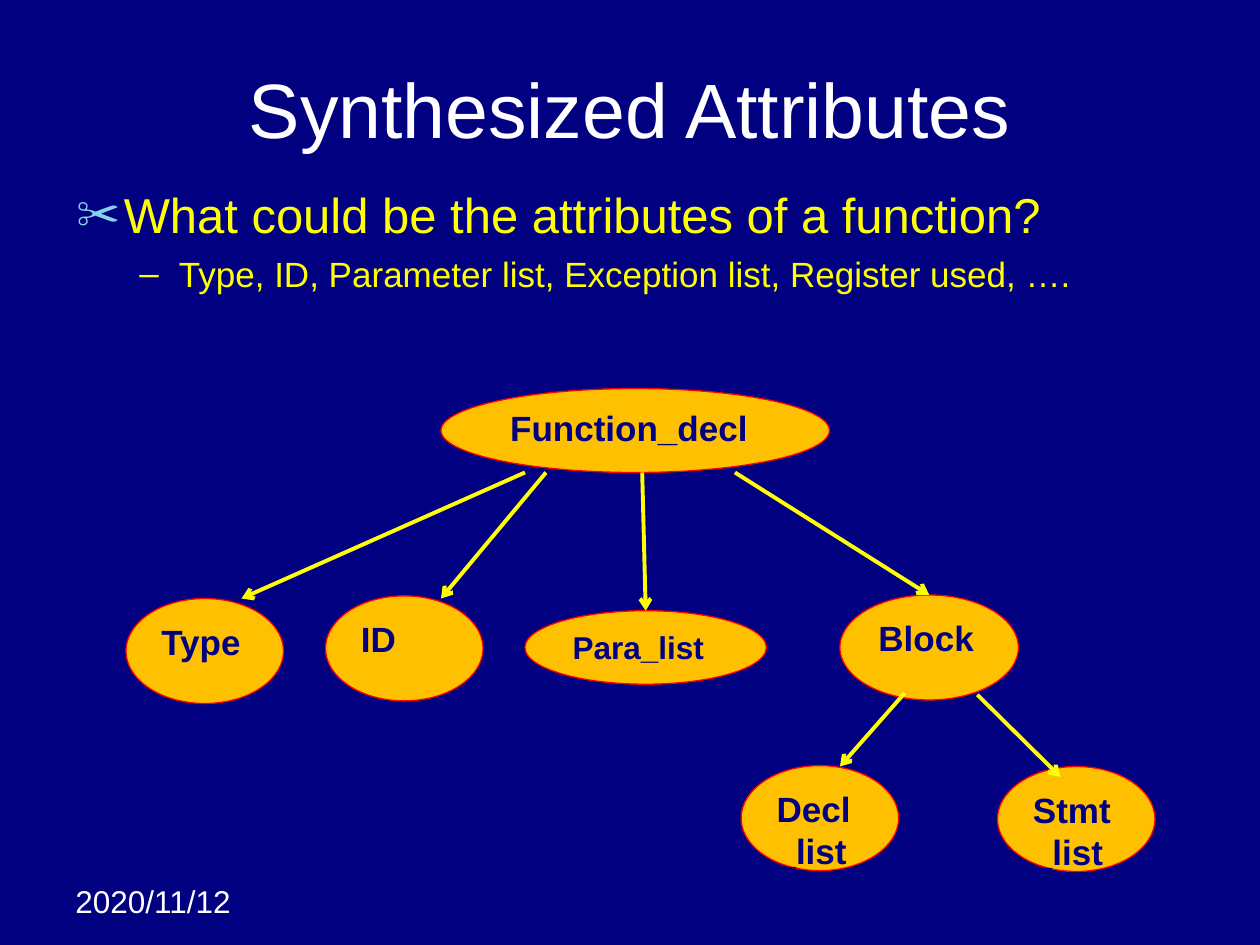
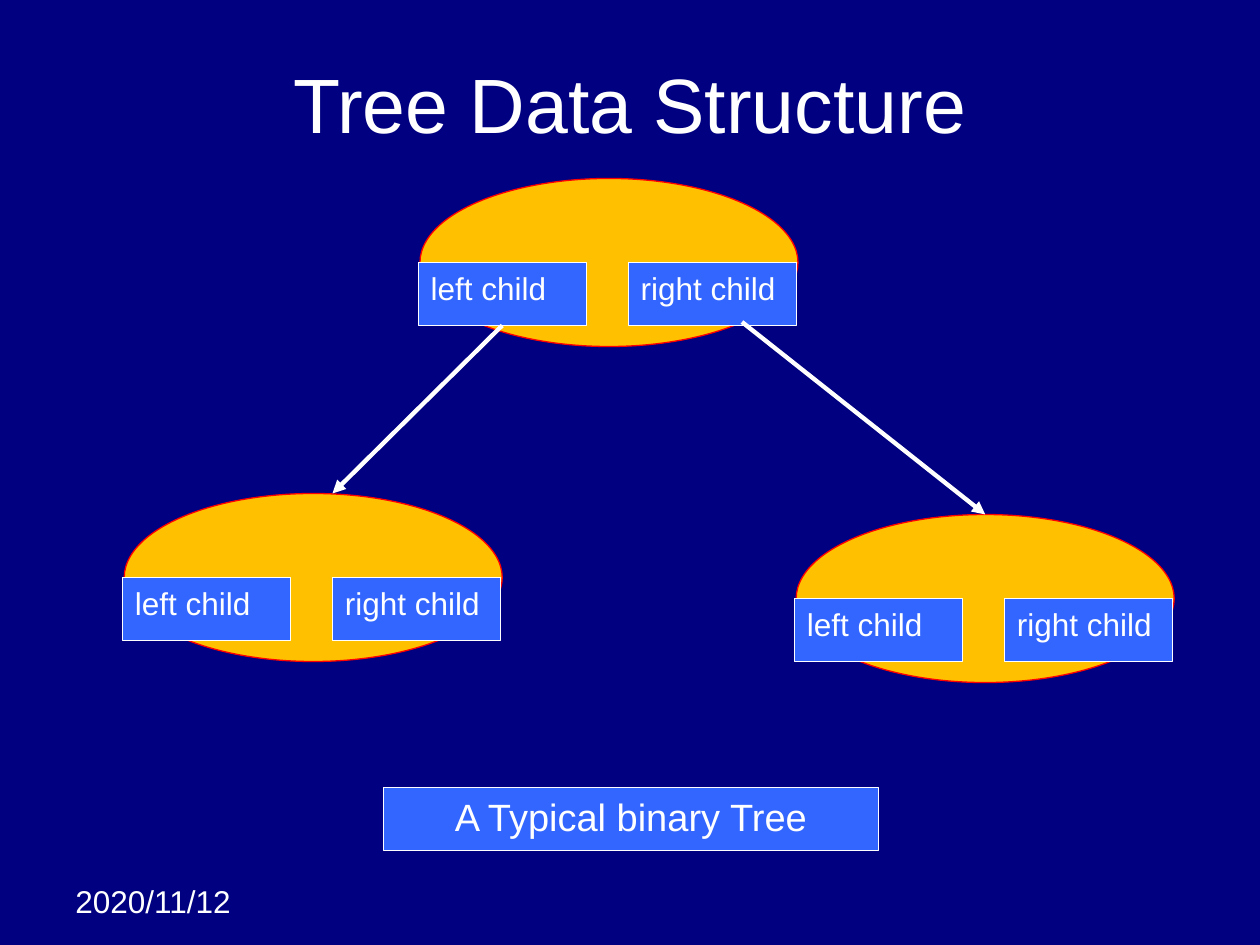
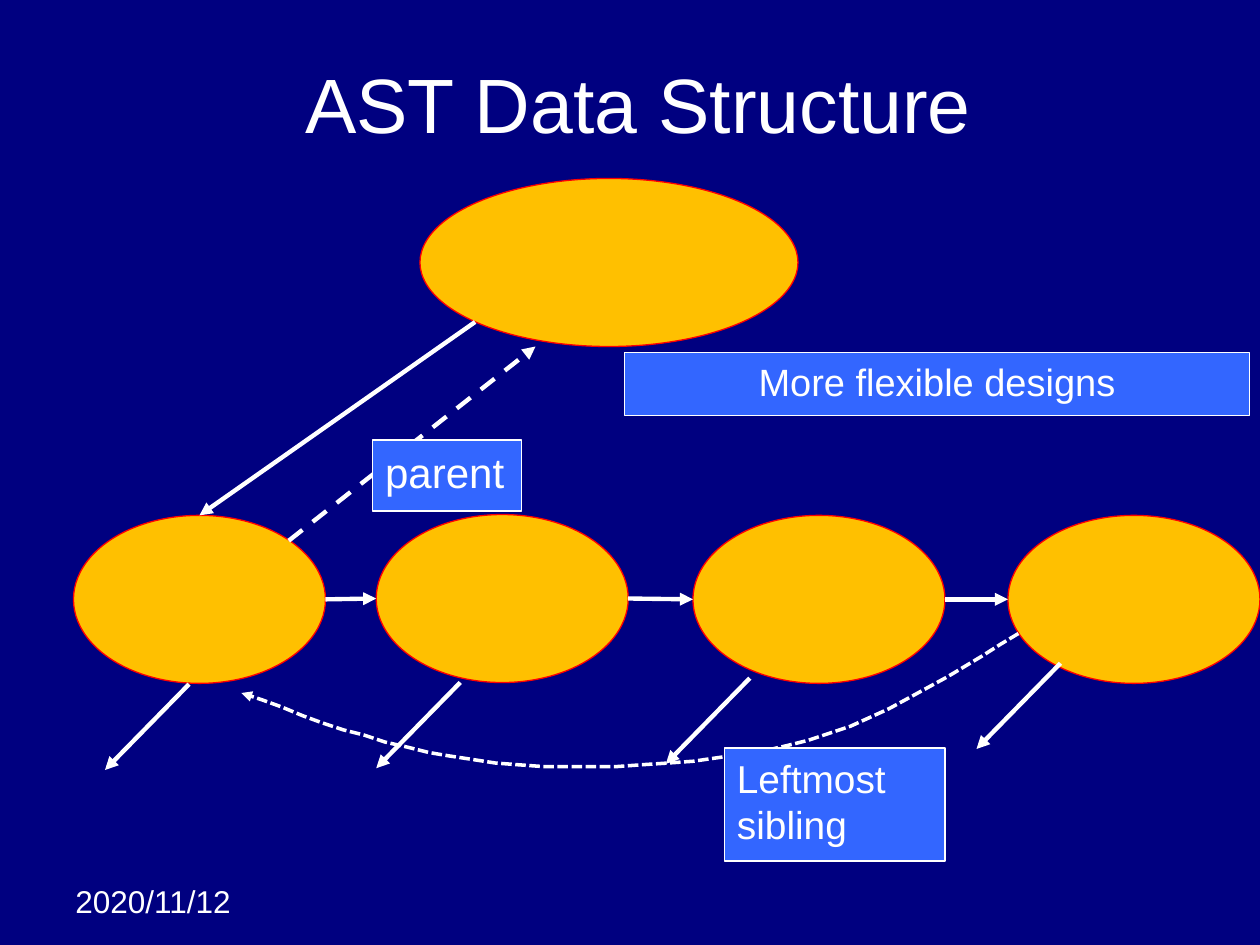
"""Build three slides on syntax-tree attributes and data structures."""
from lxml.etree import SubElement
from pptx import Presentation
from pptx.dml.color import RGBColor
from pptx.enum.dml import MSO_LINE
from pptx.enum.shapes import MSO_CONNECTOR, MSO_SHAPE
from pptx.enum.text import MSO_ANCHOR, MSO_AUTO_SIZE, PP_ALIGN
from pptx.oxml.ns import qn
from pptx.util import Pt

COLORS = {
    "navy": "000080",
    "white": "FFFFFF",
    "yellow": "FFFF00",
    "amber": "FFC000",
    "red": "FF0000",
    "blue": "3366FF",
    "sky": "86D1EC",
}
FONT = "Arial"
TITLE_ONLY, TITLE_AND_BODY = 5, 1
ROOT = (240, 102, 216, 96)


def rgb(name):
    """Return the named palette colour."""
    return RGBColor.from_string(COLORS[name])


def points(*values):
    """Convert numbers to lengths in points."""
    return [Pt(value) for value in values]


def move(shape, bounds):
    """Place a shape at left, top, width, height."""
    shape.left, shape.top, shape.width, shape.height = points(*bounds)


def write(frame, text, size=18, color="white", bold=False,
          align=PP_ALIGN.LEFT, anchor=MSO_ANCHOR.TOP, wrap=True):
    """Fill a text frame, one paragraph for each line of text."""
    frame.auto_size = MSO_AUTO_SIZE.NONE
    frame.word_wrap = wrap
    frame.vertical_anchor = anchor
    frame.text = text
    for paragraph in frame.paragraphs:
        paragraph.alignment = align
        paragraph.space_before = Pt(0)
        for span in paragraph.runs:
            span.font.name = FONT
            span.font.size = Pt(size)
            span.font.bold = bold
            span.font.color.rgb = rgb(color)


def add_page(deck, title, layout=TITLE_ONLY, title_height=74):
    """Add a slide with its title and date."""
    page = deck.slides.add_slide(deck.slide_layouts[layout])
    move(page.shapes.title, (36, 21.5, 648, title_height))
    write(page.shapes.title.text_frame, title, size=44,
          align=PP_ALIGN.CENTER, anchor=MSO_ANCHOR.MIDDLE)
    date = page.shapes.add_textbox(*points(36, 500.5, 114, 29))
    write(date.text_frame, "2020/11/12", wrap=False)
    return page


def set_bullet(paragraph, symbol, color, percent, margin, indent):
    """Give a paragraph a coloured bullet and a hanging indent."""
    properties = paragraph._p.get_or_add_pPr()
    properties.set("marL", str(Pt(margin)))
    properties.set("indent", str(Pt(indent)))
    tint = SubElement(properties, qn("a:buClr"))
    SubElement(tint, qn("a:srgbClr"), val=COLORS[color])
    SubElement(properties, qn("a:buSzPct"), val=str(percent * 1000))
    SubElement(properties, qn("a:buChar"), char=symbol)


def add_shape(page, kind, bounds, fill, outline):
    """Add a filled and outlined preset shape."""
    shape = page.shapes.add_shape(kind, *points(*bounds))
    shape.shadow.inherit = False
    shape.fill.solid()
    shape.fill.fore_color.rgb = rgb(fill)
    shape.line.color.rgb = rgb(outline)
    shape.line.width = Pt(0.75)
    return shape


def add_node(page, bounds, text="", size=20):
    """Add a tree node, labelled if text is given."""
    node = add_shape(page, MSO_SHAPE.OVAL, bounds, "amber", "red")
    if text:
        write(node.text_frame, text, size=size, color="navy", bold=True)


def add_label(page, bounds, text, **text_format):
    """Add a blue text box."""
    label = add_shape(page, MSO_SHAPE.RECTANGLE, bounds, "blue", "white")
    write(label.text_frame, text, **text_format)


def style_arrow(shape, color, width, head, dash=None):
    """Style a line and put an arrowhead at its end."""
    shape.line.color.rgb = rgb(color)
    shape.line.width = Pt(width)
    if dash:
        shape.line.dash_style = dash
    outline = shape.element.spPr.find(qn("a:ln"))
    SubElement(outline, qn("a:tailEnd"), type=head)


def add_arrow(page, start, end, color="white", width=2.5, head="triangle", dash=None):
    """Add a straight arrow between two points."""
    arrow = page.shapes.add_connector(MSO_CONNECTOR.STRAIGHT, *points(*start, *end))
    style_arrow(arrow, color, width, head, dash)
    SubElement(arrow.element.spPr, qn("a:effectLst"))


def curve_points(start, segments, steps=12):
    """Yield points along joined cubic curves, after the start."""
    for first, second, end in segments:
        for step in range(1, steps + 1):
            t = step / steps
            weights = ((1 - t) ** 3, 3 * t * (1 - t) ** 2, 3 * t * t * (1 - t), t ** 3)
            corners = (start, first, second, end)
            yield tuple(sum(weight * corner[axis] for weight, corner in zip(weights, corners))
                        for axis in (0, 1))
        start = end


def add_curve(page, start, segments):
    """Add a dashed curved arrow."""
    builder = page.shapes.build_freeform(*start, scale=Pt(1))
    builder.add_line_segments(list(curve_points(start, segments)), close=False)
    curve = builder.convert_to_shape()
    curve.shadow.inherit = False
    curve.fill.background()
    style_arrow(curve, "white", 2, "triangle", MSO_LINE.SQUARE_DOT)
    dash = curve.element.spPr.find(qn("a:ln")).find(qn("a:prstDash"))
    dash.set("val", "sysDash")


def add_binary_node(page, left, top):
    """Add a node with its left and right child fields."""
    add_node(page, (left, top, 216, 96))
    for column, side in enumerate(("left", "right")):
        add_label(page, (left - 1 + 120 * column, top + 48, 96, 36), f"{side} child")


def add_attributes_page(deck):
    """Add the slide on synthesized attributes."""
    page = add_page(deck, "Synthesized Attributes", TITLE_AND_BODY, 80)
    body = page.placeholders[1]
    move(body, (36.5, 102, 648, 88.5))
    write(body.text_frame,
          "What could be the attributes of a function?\n"
          "Type, ID, Parameter list, Exception list, Register used, ….",
          size=28, color="yellow")
    question, answer = body.text_frame.paragraphs
    set_bullet(question, "✂", "sky", 90, 27, -27)
    set_bullet(answer, "–", "yellow", 100, 58.5, -22.5)
    answer.level = 1
    answer.space_before = Pt(5)
    answer.runs[0].font.size = Pt(20)

    add_node(page, (252, 222, 222, 48), "Function_decl")
    add_node(page, (72, 342, 90, 60), "Type")
    add_node(page, (186, 340.5, 90, 60), "ID")
    add_node(page, (300, 349, 138, 42), "Para_list", size=18)
    add_node(page, (480, 340, 102, 60), "Block")
    add_node(page, (423.5, 437.5, 90, 60), "Decl_list")
    add_node(page, (570, 438, 90, 60), "Stmt_list")
    for start, end in (
        ((300, 270), (138, 342)),
        ((312, 270), (252, 342)),
        ((367, 270), (369, 349)),
        ((420, 270), (531, 340)),
        ((517, 396), (480, 438)),
        ((558.5, 397), (606, 444)),
    ):
        add_arrow(page, start, end, color="yellow", width=2.25, head="arrow")


def add_binary_tree_page(deck):
    """Add the slide on a binary tree."""
    page = add_page(deck, "Tree Data Structure")
    for left, top in (ROOT[:2], (71, 282), (455, 294)):
        add_binary_node(page, left, top)
    add_arrow(page, (287, 186), (190, 282))
    add_arrow(page, (424, 184), (563, 294))
    add_label(page, (219, 450, 283, 36), "A Typical binary Tree",
              size=21.7, align=PP_ALIGN.CENTER)


def add_syntax_tree_page(deck):
    """Add the slide on a tree with parent and sibling links."""
    page = add_page(deck, " AST Data Structure")
    siblings = ((42, 294.5), (215, 294), (396, 294.5), (576, 294.5))
    add_node(page, ROOT)
    for left, top in siblings:
        add_node(page, (left, top, 144, 96))
    for (left, top), (next_left, next_top) in zip(siblings, siblings[1:]):
        add_arrow(page, (left + 144, top + 48), (next_left, next_top + 48))
    for left, top in ((108, 391), (263, 390), (428.5, 387.5), (606, 379)):
        add_arrow(page, (left, top), (left - 48, top + 49))
    add_arrow(page, (271.5, 184), (114, 294.5))
    add_arrow(page, (165, 309), (306, 198), dash=MSO_LINE.DASH)
    add_label(page, (213, 251.5, 85, 40.5), "parent", size=24)
    add_curve(page, (582, 362), (
        ((541, 388), (500, 414), (450, 426)),
        ((400, 438), (335, 441), (283, 436)),
        ((231, 431), (184, 413), (138, 395.5)),
    ))
    add_label(page, (414, 427.5, 126, 64.5), "Leftmost\nsibling", size=22.2)
    add_label(page, (357, 201.5, 357, 36), "More flexible designs",
              size=21.7, align=PP_ALIGN.CENTER)


def main():
    """Build and save the deck."""
    deck = Presentation()
    deck.slide_width, deck.slide_height = points(720, 540)
    background = deck.slide_master.background.fill
    background.solid()
    background.fore_color.rgb = rgb("navy")
    add_attributes_page(deck)
    add_binary_tree_page(deck)
    add_syntax_tree_page(deck)
    deck.save("out.pptx")


if __name__ == "__main__":
    main()
